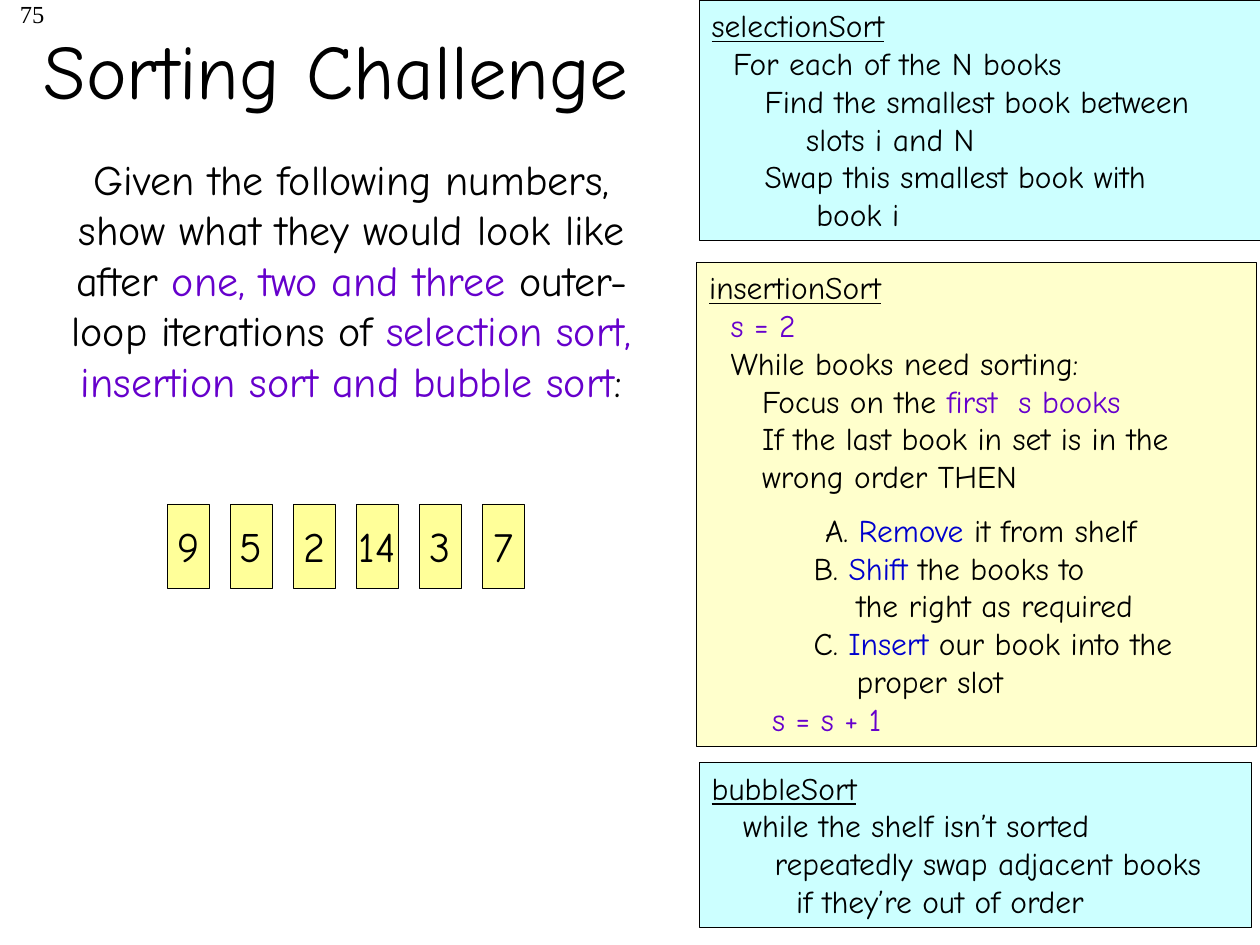
from pptx import Presentation
from pptx.dml.color import RGBColor
from pptx.enum import shapes, text
from pptx.util import Inches, Pt

BLACK = RGBColor(0x00, 0x00, 0x00)
PURPLE = RGBColor(0x66, 0x00, 0xCC)
BLUE = RGBColor(0x00, 0x00, 0xCC)
CYAN = RGBColor(0xCC, 0xFF, 0xFF)
CREAM = RGBColor(0xFF, 0xFF, 0xCC)
YELLOW = RGBColor(0xFF, 0xFF, 0x99)
FONT = "Comic Neue"

deck = Presentation()
deck.slide_width, deck.slide_height = Inches(10), Inches(7.5)
slide = deck.slides.add_slide(deck.slide_layouts[5])


def write(paragraph, runs, size, align=text.PP_ALIGN.LEFT, font=FONT):
    paragraph.alignment = align
    paragraph.font.name = font
    paragraph.font.size = Pt(size)
    for words, color in runs:
        run = paragraph.add_run()
        run.text = words
        run.font.color.rgb = color


def add_card(left, top, width, height, fill):
    card = slide.shapes.add_shape(
        shapes.MSO_SHAPE.RECTANGLE,
        Inches(left), Inches(top), Inches(width), Inches(height))
    card.shadow.inherit = False
    card.fill.solid()
    card.fill.fore_color.rgb = fill
    card.line.color.rgb = BLACK
    card.line.width = Pt(0.25)
    return card.text_frame


page_number = slide.shapes.add_textbox(
    Inches(-1.63), Inches(-0.06), Inches(2.08), Inches(0.5)).text_frame
page_number.word_wrap = True
write(page_number.paragraphs[0], [("75", BLACK)], 14,
      text.PP_ALIGN.RIGHT, "Times New Roman")

title = slide.shapes.title
title.left, title.top = Inches(-1.58), Inches(-0.08)
title.width, title.height = Inches(8.5), Inches(1.25)
title.text_frame.auto_size = text.MSO_AUTO_SIZE.NONE
title.text_frame.vertical_anchor = text.MSO_ANCHOR.MIDDLE
write(title.text_frame.paragraphs[0], [("Sorting Challenge", BLACK)], 44,
      text.PP_ALIGN.CENTER)

challenge = slide.shapes.add_textbox(
    Inches(0.33), Inches(1.17), Inches(4.92), Inches(2.5)).text_frame
challenge.word_wrap = True
write(challenge.paragraphs[0], [
    ("Given the following numbers, show what they would look like after ", BLACK),
    ("one, two and three", PURPLE),
    (" outer-loop iterations of ", BLACK),
    ("selection sort, insertion sort and bubble sort", PURPLE),
    (":", BLACK),
], 24, text.PP_ALIGN.CENTER)

for position, number in enumerate([9, 5, 2, 14, 3, 7]):
    book = add_card(1.33 + 0.5 * position, 4, 0.33, 0.67, YELLOW)
    book.word_wrap = False
    book.vertical_anchor = text.MSO_ANCHOR.MIDDLE
    write(book.paragraphs[0], [(str(number), BLACK)], 24, text.PP_ALIGN.CENTER)

algorithms = [
    ("selectionSort", (5.55, 0, 4.45, 1.91), CYAN, [
        (0.17, [("For each of the N books", BLACK)]),
        (0.42, [("Find the smallest book between", BLACK)]),
        (0.75, [("slots i and N", BLACK)]),
        (0.42, [("Swap this smallest book with", BLACK)]),
        (0.83, [("book i", BLACK)]),
    ]),
    ("insertionSort", (5.53, 2.08, 4.44, 3.84), CREAM, [
        (0.17, [("s = 2", PURPLE)]),
        (0.17, [("While books need sorting:", BLACK)]),
        (0.42, [("Focus on the ", BLACK), ("first  s books", PURPLE)]),
        (0.42, [("If the last book in set is in the", BLACK)]),
        (0.42, [("wrong order THEN", BLACK)]),
        (0.92, [("A. ", BLACK), ("Remove", BLUE), (" it from shelf", BLACK)]),
        (0.83, [("B. ", BLACK), ("Shift", BLUE), (" the books to", BLACK)]),
        (1.17, [("the right as required", BLACK)]),
        (0.83, [("C. ", BLACK), ("Insert", BLUE), (" our book into the", BLACK)]),
        (1.17, [("proper slot", BLACK)]),
        (0.5, [("s = s + 1", PURPLE)]),
    ]),
    ("bubbleSort", (5.55, 6.05, 4.38, 1.31), CYAN, [
        (0.25, [("while the shelf isn’t sorted", BLACK)]),
        (0.5, [("repeatedly swap adjacent books", BLACK)]),
        (0.67, [("if they’re out of order", BLACK)]),
    ]),
]
for name, place, fill, steps in algorithms:
    card = add_card(*place, fill)
    card.word_wrap = True
    card.vertical_anchor = text.MSO_ANCHOR.TOP
    heading = card.paragraphs[0]
    write(heading, [(name, BLACK)], 18)
    heading.runs[0].font.underline = True
    for indent, runs in steps:
        step = card.add_paragraph()
        step._p.get_or_add_pPr().set("marL", str(Inches(indent)))
        if runs[0][0] == "A. ":
            step.space_before = Pt(9)
        write(step, runs, 18)

deck.save("out.pptx")
